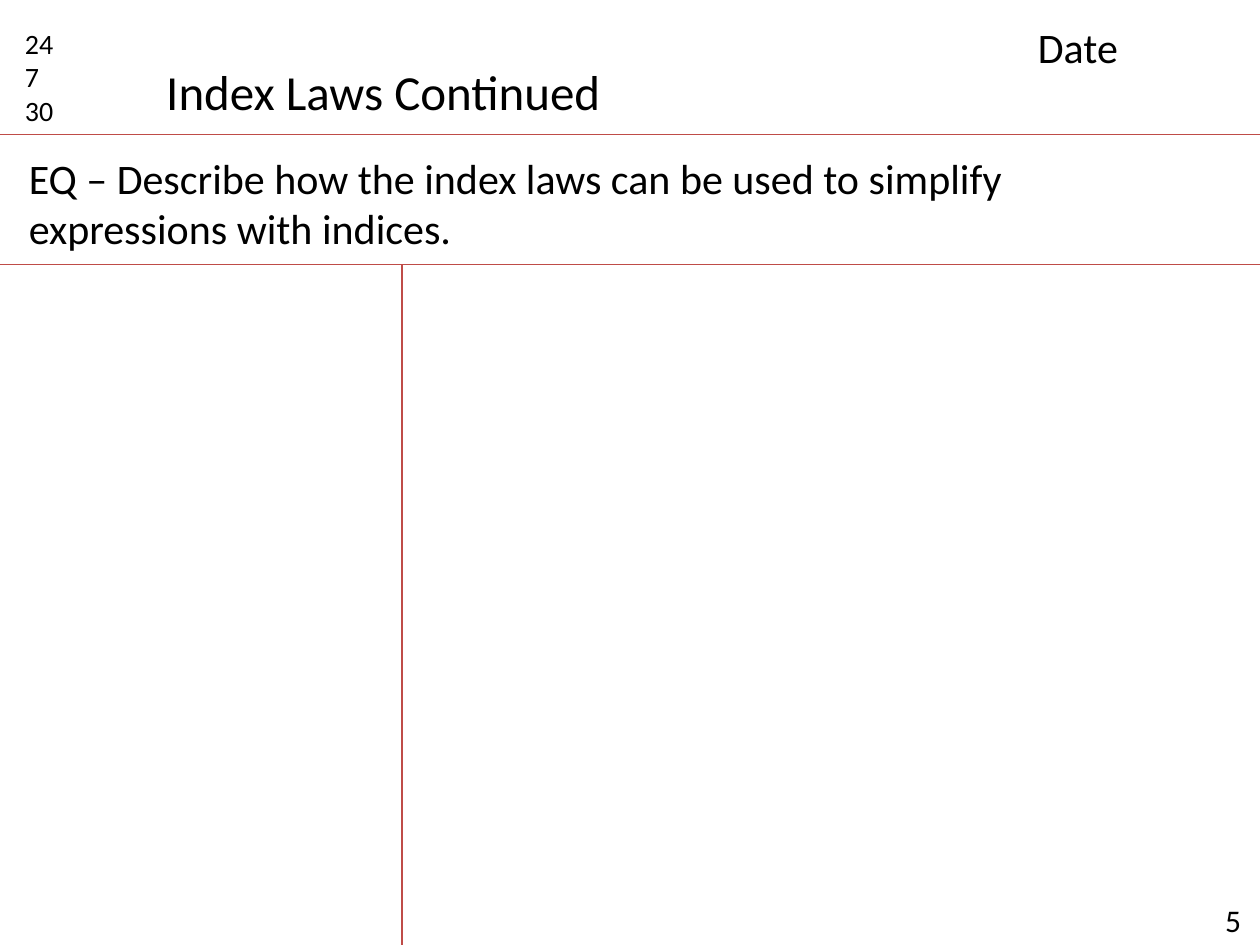
import dataclasses

import pptx
import pptx.dml.color
import pptx.enum.shapes
import pptx.enum.text
import pptx.oxml.ns
import pptx.shapes.base
import pptx.slide
import pptx.util
from lxml import etree

Pt = pptx.util.Pt
FONT = "Calibri"
BLACK = "000000"
RED = "BF4C48"
SLIDE_WIDTH, SLIDE_HEIGHT = 720, 540
HEADER_BOTTOM, QUESTION_BOTTOM = 77, 151.2
MARGIN_RULE_X = 229.7


@dataclasses.dataclass(frozen=True)
class Label:
    lines: tuple[str, ...]
    left: float
    top: float
    width: float
    height: float
    size: float
    wrap: bool = True


@dataclasses.dataclass(frozen=True)
class Rule:
    x1: float
    y1: float
    x2: float
    y2: float


TITLE = Label(("Index Laws Continued",), 87.8, 31.7, 265.7, 41, 28, wrap=False)
LABELS = (
    Label((" 5",), 689, 511.2, 43.2, 28.8, 18),
    Label(("24", "7", "30"), 7.2, 11.5, 45.4, 65.5, 16),
    Label(("Date",), 586, 8.6, 124.6, 36, 24),
    Label(("EQ – Describe how the index laws can be used to simplify "
           "expressions with indices.",), 9.4, 83.5, 679, 65.5, 24),
)
RULES = (
    Rule(0, HEADER_BOTTOM, SLIDE_WIDTH, HEADER_BOTTOM),
    Rule(0, QUESTION_BOTTOM, SLIDE_WIDTH, QUESTION_BOTTOM),
    Rule(MARGIN_RULE_X, QUESTION_BOTTOM, MARGIN_RULE_X, SLIDE_HEIGHT),
)


def color(value: str) -> pptx.dml.color.RGBColor:
    return pptx.dml.color.RGBColor.from_string(value)


def fill_label(holder: pptx.shapes.base.BaseShape, label: Label) -> None:
    """Place a text holder and write its lines."""
    holder.left, holder.top = Pt(label.left), Pt(label.top)
    holder.width, holder.height = Pt(label.width), Pt(label.height)
    frame = holder.text_frame
    frame.word_wrap = label.wrap
    frame.auto_size = pptx.enum.text.MSO_AUTO_SIZE.SHAPE_TO_FIT_TEXT
    frame.vertical_anchor = pptx.enum.text.MSO_ANCHOR.TOP
    for index, line in enumerate(label.lines):
        paragraph = frame.add_paragraph() if index else frame.paragraphs[0]
        paragraph.alignment = pptx.enum.text.PP_ALIGN.LEFT
        run = paragraph.add_run()
        run.text = line
        run.font.name = FONT
        run.font.size = Pt(label.size)
        run.font.color.rgb = color(BLACK)


def draw_rule(slide: pptx.slide.Slide, rule: Rule) -> None:
    """Draw a thin red line without a shadow."""
    line = slide.shapes.add_connector(
        pptx.enum.shapes.MSO_CONNECTOR.STRAIGHT,
        Pt(rule.x1), Pt(rule.y1), Pt(rule.x2), Pt(rule.y2))
    line.line.color.rgb = color(RED)
    line.line.width = Pt(0.75)
    etree.SubElement(line._element.spPr, pptx.oxml.ns.qn("a:effectLst"))


def main() -> None:
    deck = pptx.Presentation()
    deck.slide_width, deck.slide_height = Pt(SLIDE_WIDTH), Pt(SLIDE_HEIGHT)
    slide = deck.slides.add_slide(deck.slide_layouts.get_by_name("Title Only"))

    # Ruled page
    for rule in RULES:
        draw_rule(slide, rule)

    # Heading and notes
    fill_label(slide.shapes.title, TITLE)
    for label in LABELS:
        fill_label(slide.shapes.add_textbox(0, 0, 0, 0), label)

    deck.save("out.pptx")


if __name__ == "__main__":
    main()
